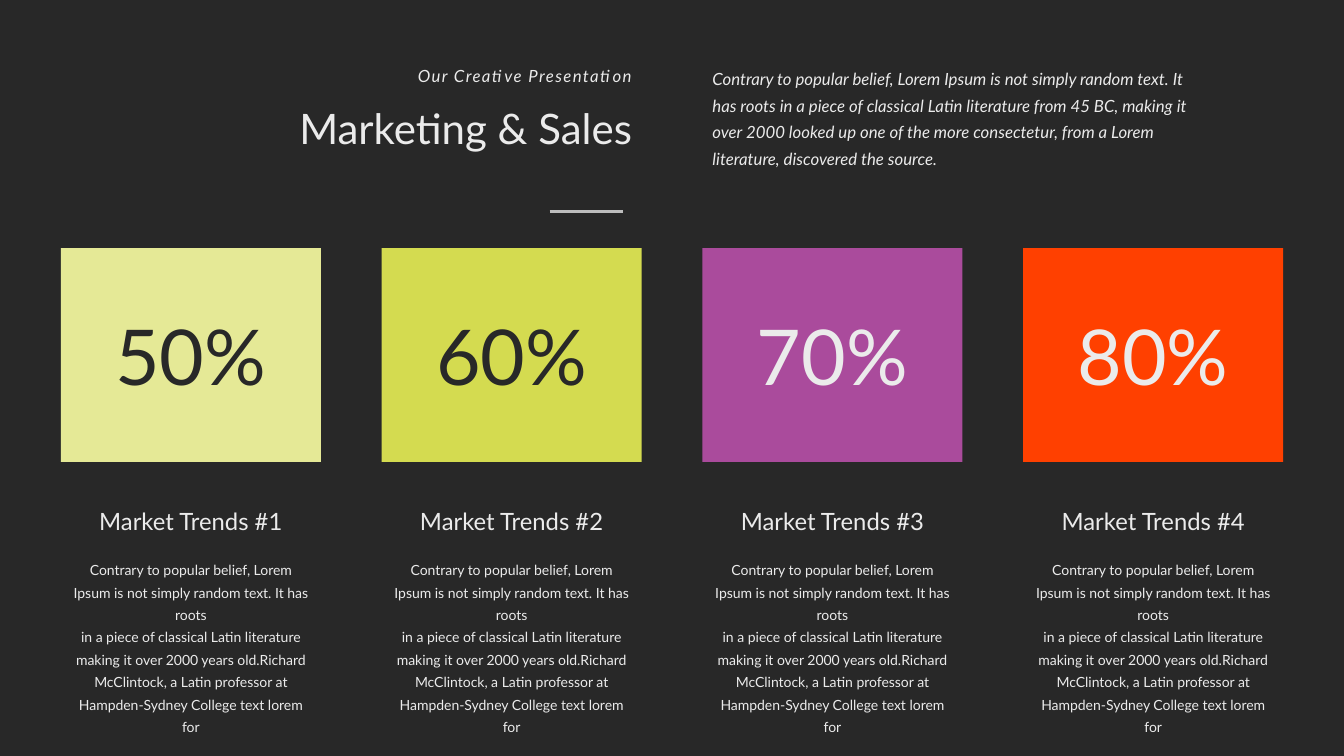
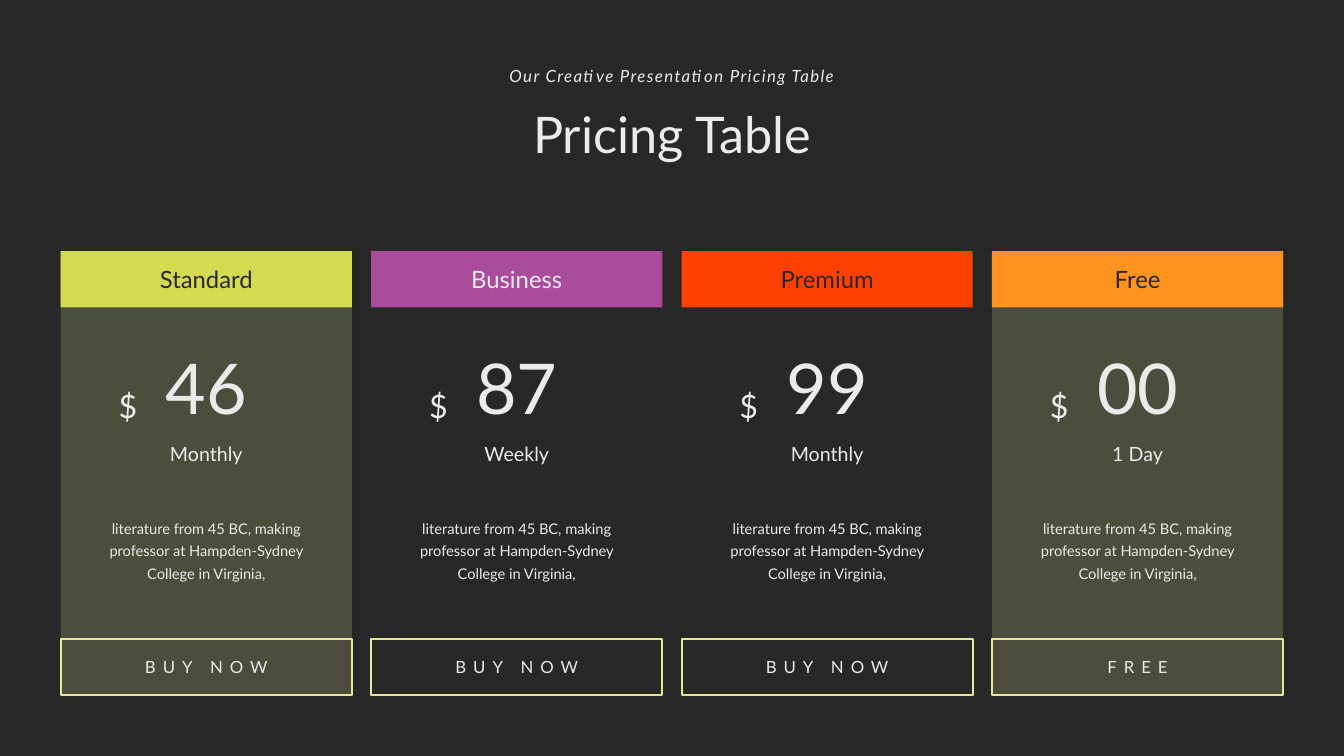
from lxml.etree import SubElement
from pptx import Presentation
from pptx.dml.color import RGBColor
from pptx.enum.shapes import MSO_CONNECTOR, MSO_SHAPE
from pptx.enum.text import MSO_ANCHOR, MSO_AUTO_SIZE, PP_ALIGN
from pptx.oxml.ns import qn
from pptx.util import Pt

DARK, LIGHT, RULE = "282828", "EBEBEB", "BDBDBD"
PALE, LIME, PURPLE, RED, ORANGE = "E5E996", "D4DB50", "AA4B9C", "FF4000", "FF931E"
LEFT, RIGHT = 43.4, 916.6
COLUMNS = 4

TREND_TEXT = (
    "Contrary to popular belief, Lorem Ipsum is not simply random text. It has roots\n"
    "in a piece of classical Latin literature making it over 2000 years old."
    "Richard McClintock, a Latin professor at Hampden-Sydney College text lorem for"
)
INTRO_TEXT = (
    "Contrary to popular belief, Lorem Ipsum is not simply random text. "
    "It has roots in a piece of classical Latin literature from 45 BC, making it "
    "over 2000 looked up one of the more consectetur, from a Lorem literature, "
    "discovered the source."
)
PLAN_TEXT = (
    "literature from 45 BC, making professor at Hampden-Sydney College in Virginia,"
)
# value, fill, text colour
TRENDS = [
    ("50%", PALE, DARK),
    ("60%", LIME, DARK),
    ("70%", PURPLE, LIGHT),
    ("80%", RED, LIGHT),
]
# name, fill, text colour, price, period, button, has panel
PLANS = [
    ("Standard", LIME, DARK, "46", "Monthly", "BUY NOW", True),
    ("Business", PURPLE, LIGHT, "87", "Weekly", "BUY NOW", False),
    ("Premium", RED, DARK, "99", "Monthly", "BUY NOW", False),
    ("Free", ORANGE, DARK, "00", "1 Day", "FREE", True),
]


def rgb(color):
    return RGBColor.from_string(color)


def column_lefts(width):
    """Left edges of equal columns that fill the space between the margins."""
    step = (RIGHT - LEFT - width) / (COLUMNS - 1)
    return [LEFT + index * step for index in range(COLUMNS)]


class Deck:
    """Holds the text style, the presentation and the current slide."""

    font = "Lato"

    def __init__(self):
        self.presentation = Presentation()
        self.presentation.slide_width = Pt(960)
        self.presentation.slide_height = Pt(540)
        self.slide = None

    def new_slide(self):
        layout = self.presentation.slide_layouts[6]
        self.slide = self.presentation.slides.add_slide(layout)
        self.slide.background.fill.solid()
        self.slide.background.fill.fore_color.rgb = rgb(DARK)

    def set_text(self, text_frame, text, size, color=LIGHT, align=PP_ALIGN.CENTER,
                 italic=False, tracking=0, leading=None):
        text_frame.word_wrap = True
        text_frame.text = text
        for paragraph in text_frame.paragraphs:
            paragraph.alignment = align
            if leading:
                paragraph.line_spacing = Pt(leading)
            for run in paragraph.runs:
                run.font.name = self.font
                run.font.size = Pt(size)
                run.font.italic = italic
                run.font.color.rgb = rgb(color)
                if tracking:
                    run._r.get_or_add_rPr().set("spc", str(tracking * 100))

    def text(self, left, top, width, height, text, size, **style):
        box = self.slide.shapes.add_textbox(Pt(left), Pt(top), Pt(width), Pt(height))
        self.set_text(box.text_frame, text, size, **style)
        box.text_frame.auto_size = MSO_AUTO_SIZE.SHAPE_TO_FIT_TEXT

    def box(self, left, top, width, height, fill=None, line=None):
        shape = self.slide.shapes.add_shape(
            MSO_SHAPE.RECTANGLE, Pt(left), Pt(top), Pt(width), Pt(height))
        shape.shadow.inherit = False
        if fill:
            shape.fill.solid()
            shape.fill.fore_color.rgb = rgb(fill)
        else:
            shape.fill.background()
        if line:
            shape.line.color.rgb = rgb(line)
            shape.line.width = Pt(1.5)
        else:
            shape.line.fill.background()
        return shape

    def label_box(self, left, top, width, height, text, size,
                  fill=None, line=None, **style):
        shape = self.box(left, top, width, height, fill, line)
        shape.text_frame.vertical_anchor = MSO_ANCHOR.MIDDLE
        self.set_text(shape.text_frame, text, size, **style)

    def panel(self, left, top, width, height):
        """Translucent rectangle with a soft shadow to its right."""
        properties = self.box(left, top, width, height, PALE)._element.spPr
        color = properties.find(qn("a:solidFill")).find(qn("a:srgbClr"))
        SubElement(color, qn("a:alpha"), val="20000")
        shadow = SubElement(
            properties.find(qn("a:effectLst")), qn("a:outerShdw"),
            blurRad=str(Pt(4)), dist=str(Pt(3)), dir="0", rotWithShape="0")
        shadow_color = SubElement(shadow, qn("a:srgbClr"), val="000000")
        SubElement(shadow_color, qn("a:alpha"), val="15000")

    def rule(self, left, top, width):
        line = self.slide.shapes.add_connector(
            MSO_CONNECTOR.STRAIGHT, Pt(left), Pt(top), Pt(left + width), Pt(top))
        line.line.color.rgb = rgb(RULE)
        line.line.width = Pt(2)
        SubElement(line._element.spPr, qn("a:effectLst"))

    def heading(self, left, width, kicker, title, size, align):
        self.text(left, 43.2, width, 21.6, kicker, 12,
                  align=align, italic=True, tracking=1)
        self.text(left, 69.8, width, size * 1.45, title, size, align=align)


def build_trends(deck):
    deck.new_slide()
    deck.heading(178.6, 280, "Our Creative Presentation", "Marketing & Sales",
                 30, PP_ALIGN.RIGHT)
    deck.rule(392.6, 151.2, 52.4)
    deck.text(501.8, 41, 356.4, 82, INTRO_TEXT, 12,
              align=PP_ALIGN.LEFT, italic=True, leading=19)
    width = 185.8
    for number, (left, trend) in enumerate(zip(column_lefts(width), TRENDS), 1):
        value, fill, color = trend
        deck.label_box(left, 177.2, width, 152.8, value, 55, fill=fill, color=color)
        deck.text(left, 358.6, width, 28, f"Market Trends #{number}", 17)
        deck.text(left, 393.8, width, 135, TREND_TEXT, 10, leading=16)


def build_pricing(deck):
    deck.new_slide()
    deck.heading(323, 314, "Our Creative Presentation Pricing Table",
                 "Pricing Table", 36, PP_ALIGN.CENTER)
    width, top, bottom, band = 208, 179.4, 496.6, 40.2
    for left, plan in zip(column_lefts(width), PLANS):
        name, fill, color, price, period, action, has_panel = plan
        if has_panel:
            deck.panel(left, top, width, bottom - top)
        deck.label_box(left, top, width, band, name, 17, fill=fill, color=color)
        deck.text(left + 27, 272.2, 42, 35, "$", 23)
        deck.text(left + 44, 242.6, 120, 68, price, 50)
        deck.text(left + 32, 311.8, 144, 24.5, period, 14)
        deck.text(left + 23, 364.3, 162, 54, PLAN_TEXT, 10.5, leading=16)
        deck.label_box(left, bottom - band, width, band, action, 12,
                       line=PALE, tracking=5)


def main():
    deck = Deck()
    build_trends(deck)
    build_pricing(deck)
    deck.presentation.save("out.pptx")


if __name__ == "__main__":
    main()
